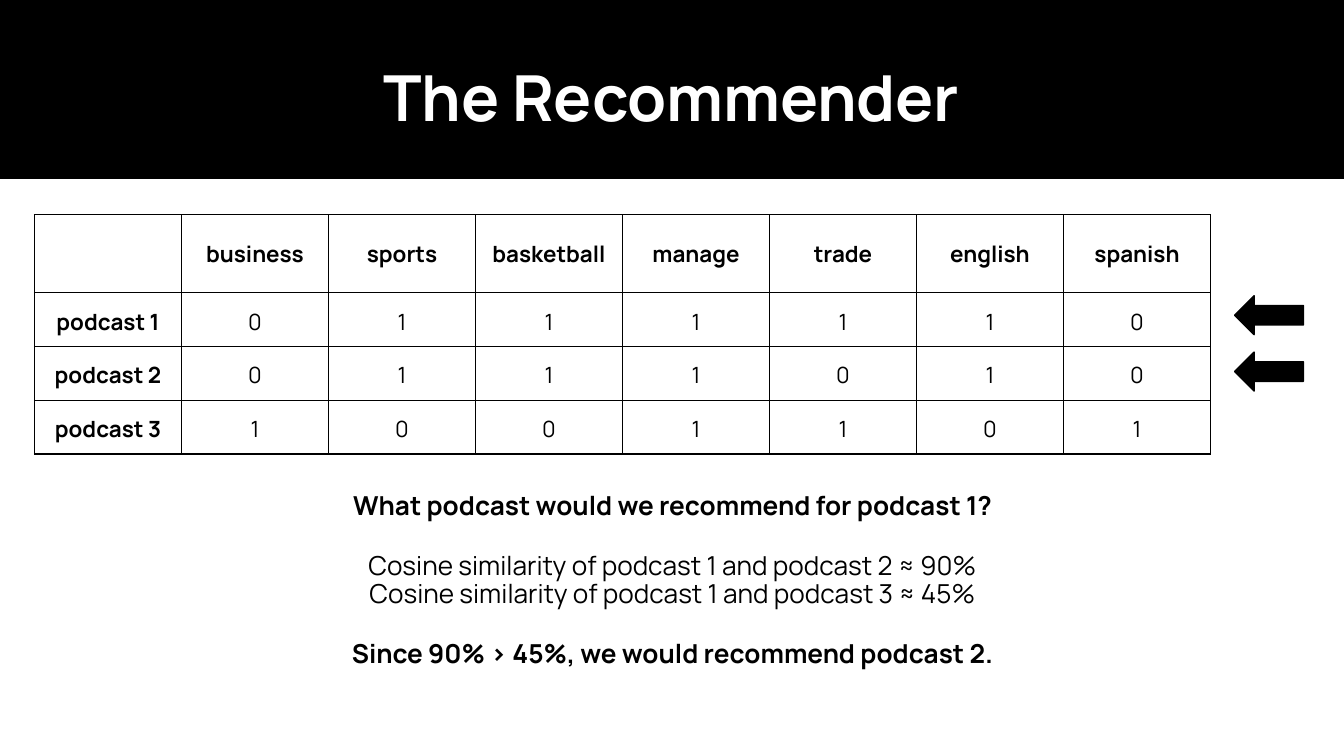
from dataclasses import dataclass

from lxml.etree import SubElement
from pptx import Presentation
from pptx.dml.color import RGBColor as RGB
from pptx.enum.shapes import MSO_SHAPE as SHAPE
from pptx.enum.text import MSO_ANCHOR as ANCHOR, PP_ALIGN as ALIGN
from pptx.oxml.ns import qn
from pptx.util import Pt


@dataclass(frozen=True)
class Theme:
    font: str = "Manrope"
    black: RGB = RGB(0, 0, 0)
    white: RGB = RGB(255, 255, 255)
    title: float = 34
    body: float = 14
    cell: float = 12
    line: float = 0.75
    inset: float = 7.2


THEME = Theme()


def write(p, text, *, size, color=THEME.black, bold=False, before=0, spacing=None):
    """Fill one centred paragraph with formatted text."""
    p.alignment = ALIGN.CENTER
    p.space_before = Pt(before)
    if spacing:
        p.line_spacing = spacing
    r = p.add_run()
    r.text = text
    r.font.name = THEME.font
    r.font.size = Pt(size)
    r.font.bold = bold
    r.font.color.rgb = color


class SlideBuilder:
    def __init__(self, prs, theme):
        self.theme = theme
        self.s = prs.slides.add_slide(prs.slide_layouts[6])

    def background(self, color):
        fill = self.s.background.fill
        fill.solid()
        fill.fore_color.rgb = color

    def text(self, box, lines, anchor=ANCHOR.TOP):
        """Add a text box; lines holds (text, format) pairs."""
        tf = self.s.shapes.add_textbox(*map(Pt, box)).text_frame
        tf.word_wrap = True
        tf.vertical_anchor = anchor
        tf.margin_left = tf.margin_right = Pt(self.theme.inset)
        tf.margin_top = tf.margin_bottom = Pt(self.theme.inset)
        for i, (text, fmt) in enumerate(lines):
            p = tf.add_paragraph() if i else tf.paragraphs[0]
            write(p, text, **fmt)

    def shape(self, kind, box, fill, line=None, rotation=0):
        sp = self.s.shapes.add_shape(kind, *map(Pt, box))
        sp.shadow.inherit = False
        sp.rotation = rotation
        sp.fill.solid()
        sp.fill.fore_color.rgb = fill
        if line is None:
            sp.line.fill.background()
        else:
            sp.line.color.rgb = line
            sp.line.width = Pt(self.theme.line)

    def table(self, left, top, col_width, row_heights, rows):
        cols = len(rows[0])
        box = (left, top, col_width * cols, sum(row_heights))
        table = self.s.shapes.add_table(len(rows), cols, *map(Pt, box)).table
        for col in table.columns:
            col.width = Pt(col_width)
        for i, (height, values) in enumerate(zip(row_heights, rows)):
            table.rows[i].height = Pt(height)
            for j, value in enumerate(values):
                self.cell(table.cell(i, j), value, bold=i == 0 or j == 0)

    def cell(self, cell, value, bold):
        cell.vertical_anchor = ANCHOR.MIDDLE
        cell.margin_left = cell.margin_right = Pt(self.theme.inset)
        cell.margin_top = cell.margin_bottom = Pt(self.theme.inset)
        if value != "":
            write(cell.text_frame.paragraphs[0], str(value),
                  size=self.theme.cell, bold=bold)
        # Borders must come before the fill in the cell properties
        tc_pr = cell._tc.get_or_add_tcPr()
        for side in ("a:lnL", "a:lnR", "a:lnT", "a:lnB"):
            ln = SubElement(tc_pr, qn(side), w=str(Pt(self.theme.line)))
            solid = SubElement(ln, qn("a:solidFill"))
            SubElement(solid, qn("a:srgbClr"), val=str(self.theme.black))
        cell.fill.background()


def main():
    prs = Presentation()
    prs.slide_width, prs.slide_height = Pt(720), Pt(405)
    t = THEME
    b = SlideBuilder(prs, t)

    # Black header with title, white panel below
    b.background(t.black)
    b.text((193.7, 23.8, 331.9, 58.3),
           [("The Recommender", dict(size=t.title, color=t.white, bold=True))])
    b.shape(SHAPE.RECTANGLE, (-4.3, 96, 728.6, 309), t.white)

    # Podcast features
    b.table(18.5, 115, 78.75, [41.8] + [28.8] * 3, [
        ["", "business", "sports", "basketball", "manage", "trade",
         "english", "spanish"],
        ["podcast 1", 0, 1, 1, 1, 1, 1, 0],
        ["podcast 2", 0, 1, 1, 1, 0, 1, 0],
        ["podcast 3", 1, 0, 0, 1, 1, 0, 1],
    ])

    # Arrows at the two most similar podcasts
    for top in (158.4, 188.6):
        b.shape(SHAPE.RIGHT_ARROW, (661.4, top, 36.9, 20.9), t.black,
                line=t.black, rotation=180)

    # Question, similarities and answer
    plain = dict(size=t.body, spacing=0.9)
    strong = dict(plain, bold=True)
    gap = dict(before=16.8)
    b.text((171.4, 258.5, 378, 105.8), [
        ("What podcast would we recommend for podcast 1?", strong),
        ("Cosine similarity of podcast 1 and podcast 2 ≈ 90%", plain | gap),
        ("Cosine similarity of podcast 1 and podcast 3 ≈ 45%", plain),
        ("Since 90% > 45%, we would recommend podcast 2.", strong | gap),
    ], anchor=ANCHOR.MIDDLE)

    prs.save("out.pptx")


if __name__ == "__main__":
    main()
